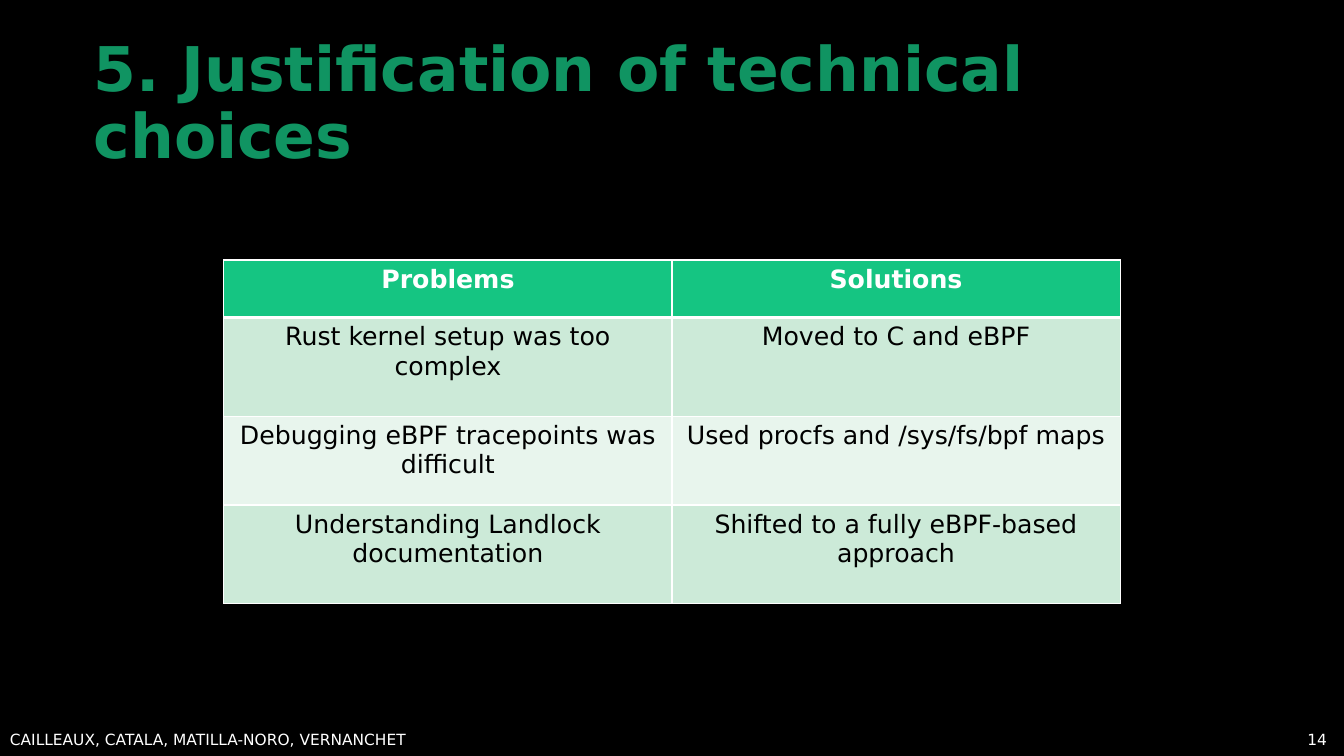
from dataclasses import dataclass

import lxml.etree
import pptx
import pptx.dml.color
import pptx.enum.text
import pptx.oxml.ns
import pptx.util

Inches = pptx.util.Inches
Align = pptx.enum.text.PP_ALIGN


@dataclass(frozen=True)
class Theme:
    font: str = "DejaVu Sans"
    background: str = "000000"
    title: str = "109462"
    header: str = "15C582"
    bands: tuple[str, str] = ("CCEAD8", "E8F5ED")
    light: str = "FFFFFF"
    dark: str = "000000"
    title_size: int = 44
    table_size: int = 18
    footer_size: int = 11


@dataclass(frozen=True)
class TableRow:
    problem: str
    solution: str
    height: float


@dataclass(frozen=True)
class FooterItem:
    text: str
    left: float
    top: float
    width: float
    height: float
    align: Align
    line_spacing: float
    space_before: int


THEME = Theme()

ROWS = [
    TableRow("Problems", "Solutions", 0.57),
    TableRow("Rust kernel setup was too complex", "Moved to C and eBPF", 0.98),
    TableRow("Debugging eBPF tracepoints was difficult",
             "Used procfs and /sys/fs/bpf maps", 0.88),
    TableRow("Understanding Landlock documentation",
             "Shifted to a fully eBPF-based approach", 0.98),
]

FOOTER = [
    FooterItem("CAILLEAUX, CATALA, MATILLA-NORO, VERNANCHET",
               0, 7.21, 11.73, 0.29, Align.LEFT, 0.9, 10),
    FooterItem("14", 12.67, 7.19, 0.59, 0.31, Align.RIGHT, 1.0, 0),
]


def rgb(color: str) -> pptx.dml.color.RGBColor:
    return pptx.dml.color.RGBColor.from_string(color)


def write_text(frame, text: str, *, size: int, color: str, bold: bool = False,
               align: Align = Align.LEFT, line_spacing: float = 1.0,
               space_before: int = 0) -> None:
    frame.word_wrap = True
    paragraph = frame.paragraphs[0]
    paragraph.alignment = align
    paragraph.line_spacing = line_spacing
    paragraph.space_before = pptx.util.Pt(space_before)
    run = paragraph.add_run()
    run.text = text
    run.font.name = THEME.font
    run.font.size = pptx.util.Pt(size)
    run.font.bold = bold
    run.font.color.rgb = rgb(color)


def set_borders(cell, color: str, bottom_width: int) -> None:
    qn = pptx.oxml.ns.qn
    properties = cell._tc.get_or_add_tcPr()
    widths = {"a:lnL": 1, "a:lnR": 1, "a:lnT": 1, "a:lnB": bottom_width}
    for position, (tag, width) in enumerate(widths.items()):
        border = lxml.etree.Element(qn(tag), w=str(pptx.util.Pt(width)))
        fill = lxml.etree.SubElement(border, qn("a:solidFill"))
        lxml.etree.SubElement(fill, qn("a:srgbClr"), val=color)
        properties.insert(position, border)


def add_title(slide, text: str) -> None:
    title = slide.shapes.title
    title.left, title.top = Inches(0.83), Inches(0.3)
    title.width, title.height = Inches(11.67), Inches(1.45)
    frame = title.text_frame
    frame.auto_size = pptx.enum.text.MSO_AUTO_SIZE.NONE
    frame.vertical_anchor = pptx.enum.text.MSO_ANCHOR.BOTTOM
    write_text(frame, text, size=THEME.title_size, color=THEME.title,
               bold=True, line_spacing=0.9)


def add_choices_table(slide, rows: list[TableRow]) -> None:
    height = sum(row.height for row in rows)
    choices = slide.shapes.add_table(len(rows), 2, Inches(2.22), Inches(2.58),
                                     Inches(8.89), Inches(height)).table
    for index, row in enumerate(rows):
        choices.rows[index].height = Inches(row.height)
        is_header = index == 0
        fill = THEME.header if is_header else THEME.bands[(index - 1) % 2]
        for column, text in enumerate((row.problem, row.solution)):
            cell = choices.cell(index, column)
            cell.fill.solid()
            cell.fill.fore_color.rgb = rgb(fill)
            set_borders(cell, THEME.light, 3 if is_header else 1)
            write_text(cell.text_frame, text, size=THEME.table_size,
                       color=THEME.light if is_header else THEME.dark,
                       bold=is_header, align=Align.CENTER)


def add_footer_item(slide, item: FooterItem) -> None:
    box = slide.shapes.add_textbox(Inches(item.left), Inches(item.top),
                                   Inches(item.width), Inches(item.height))
    write_text(box.text_frame, item.text, size=THEME.footer_size,
               color=THEME.light, align=item.align,
               line_spacing=item.line_spacing, space_before=item.space_before)


def main() -> None:
    deck = pptx.Presentation()
    deck.slide_width, deck.slide_height = Inches(13.33), Inches(7.5)
    slide = deck.slides.add_slide(deck.slide_layouts.get_by_name("Title Only"))
    slide.background.fill.solid()
    slide.background.fill.fore_color.rgb = rgb(THEME.background)
    add_title(slide, "5. Justification of technical choices")
    add_choices_table(slide, ROWS)
    for item in FOOTER:
        add_footer_item(slide, item)
    deck.save("out.pptx")


if __name__ == "__main__":
    main()
